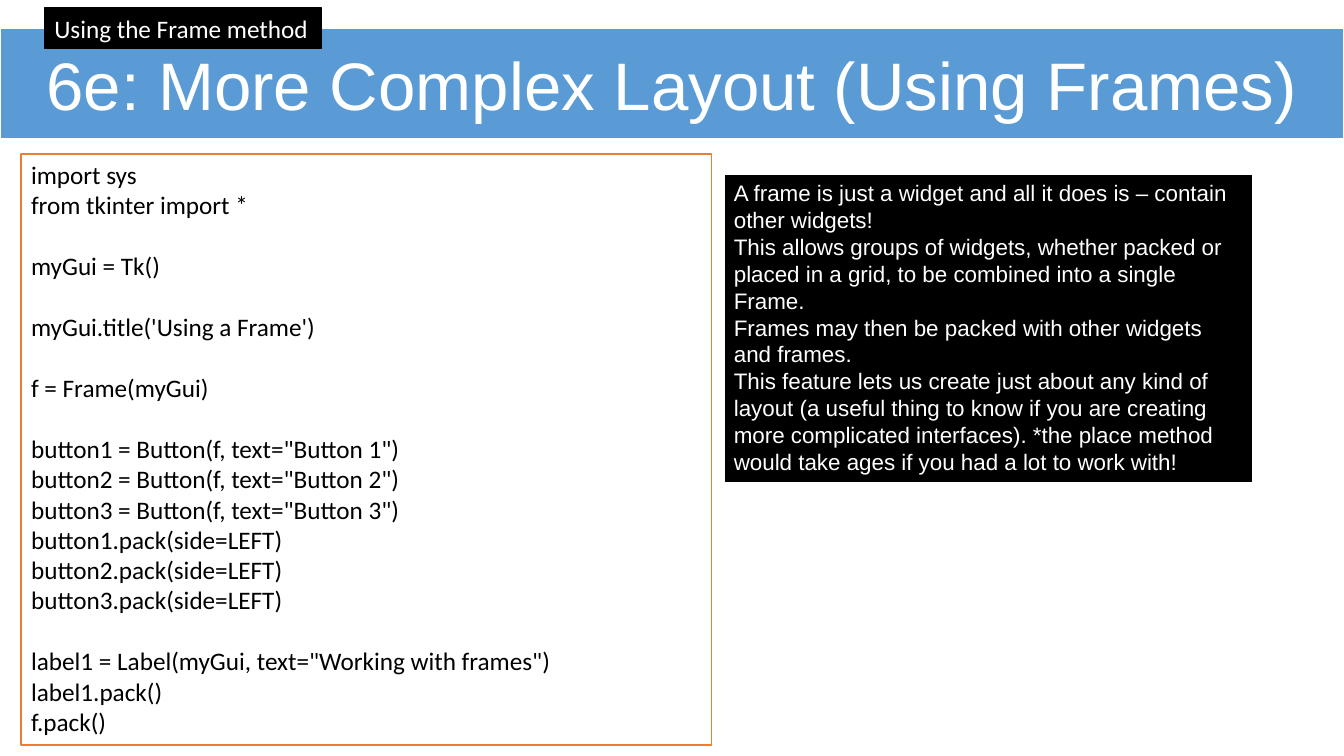
"""Build the slide on laying out widgets with frames."""
import pptx
import pptx.util
import pptx.dml.color
import pptx.enum.shapes
import pptx.enum.text

Inches, Pt = pptx.util.Inches, pptx.util.Pt
ALIGN = pptx.enum.text.PP_ALIGN
ANCHOR = pptx.enum.text.MSO_ANCHOR

COLORS = {"blue": "5B9BD5", "orange": "ED7D31", "black": "000000", "white": "FFFFFF"}

TITLE = "6e: More Complex Layout (Using Frames)"
TAG = "Using the Frame method"
CODE = [
    ["import sys", "from tkinter import *"],
    ["myGui = Tk()"],
    ["myGui.title('Using a Frame')"],
    ["f = Frame(myGui)"],
    [
        'button1 = Button(f, text="Button 1")',
        'button2 = Button(f, text="Button 2")',
        'button3 = Button(f, text="Button 3")',
        "button1.pack(side=LEFT)",
        "button2.pack(side=LEFT)",
        "button3.pack(side=LEFT)",
    ],
    ['label1 = Label(myGui, text="Working with frames")', "label1.pack()", "f.pack()"],
]
NOTES = [
    "A frame is just a widget and all it does is – contain other widgets!",
    "This allows groups of widgets, whether packed or placed in a grid, "
    "to be combined into a single Frame.",
    "Frames may then be packed with other widgets and frames.",
    "This feature lets us create just about any kind of layout (a useful thing to know "
    "if you are creating more complicated interfaces). *the place method would take "
    "ages if you had a lot to work with!",
]


def rgb(name):
    """Return the named colour."""
    return pptx.dml.color.RGBColor.from_string(COLORS[name])


def write(sp, groups, font="Calibri", size=18, color="white", align=ALIGN.LEFT,
          anchor=ANCHOR.TOP, gap=22):
    """Fill a shape with groups of paragraphs set apart by a gap in points."""
    tf = sp.text_frame
    tf.word_wrap = True
    tf.auto_size = pptx.enum.text.MSO_AUTO_SIZE.NONE
    tf.vertical_anchor = anchor
    tf.margin_left = tf.margin_right = Inches(0.1)
    tf.margin_top = tf.margin_bottom = Inches(0.05)
    p = None
    for group in groups:
        for i, text in enumerate(group):
            first = p is None
            p = tf.paragraphs[0] if first else tf.add_paragraph()
            p.alignment = align
            p.line_spacing = 1.0
            p.space_before = Pt(gap if i == 0 and not first else 0)
            r = p.add_run()
            r.text = text
            r.font.name, r.font.size = font, Pt(size)
            r.font.color.rgb = rgb(color)


def paint(sp, fill, line, width):
    """Set the fill and outline of a shape."""
    sp.fill.solid()
    sp.fill.fore_color.rgb = rgb(fill)
    sp.line.color.rgb = rgb(line)
    sp.line.width = Pt(width)


def add_panel(slide, box, fill, line, width):
    """Add a painted rectangle without a shadow."""
    sp = slide.shapes.add_shape(pptx.enum.shapes.MSO_SHAPE.RECTANGLE, *map(Inches, box))
    sp.shadow.inherit = False
    paint(sp, fill, line, width)
    return sp


def main():
    """Build and save the slide."""
    prs = pptx.Presentation()
    prs.slide_width, prs.slide_height = Inches(13.33), Inches(7.5)
    slide = prs.slides.add_slide(prs.slide_layouts[5])

    title = slide.shapes.title
    title.left, title.top, title.width, title.height = map(Inches, (0, 0.28, 13.33, 1.1))
    paint(title, "blue", "white", 1.5)
    write(title, [[TITLE]], font="Arial", size=48, align=ALIGN.CENTER, anchor=ANCHOR.MIDDLE)

    code = add_panel(slide, (0.21, 1.53, 6.85, 5.86), "white", "orange", 1)
    write(code, CODE, color="black")

    tag = add_panel(slide, (0.44, 0.08, 2.75, 0.4), "black", "black", 1)
    write(tag, [[TAG]])

    notes = add_panel(slide, (7.18, 1.73, 5.25, 3.06), "black", "white", 1.5)
    write(notes, [NOTES], font="Arial", size=16)

    prs.save("out.pptx")


if __name__ == "__main__":
    main()
